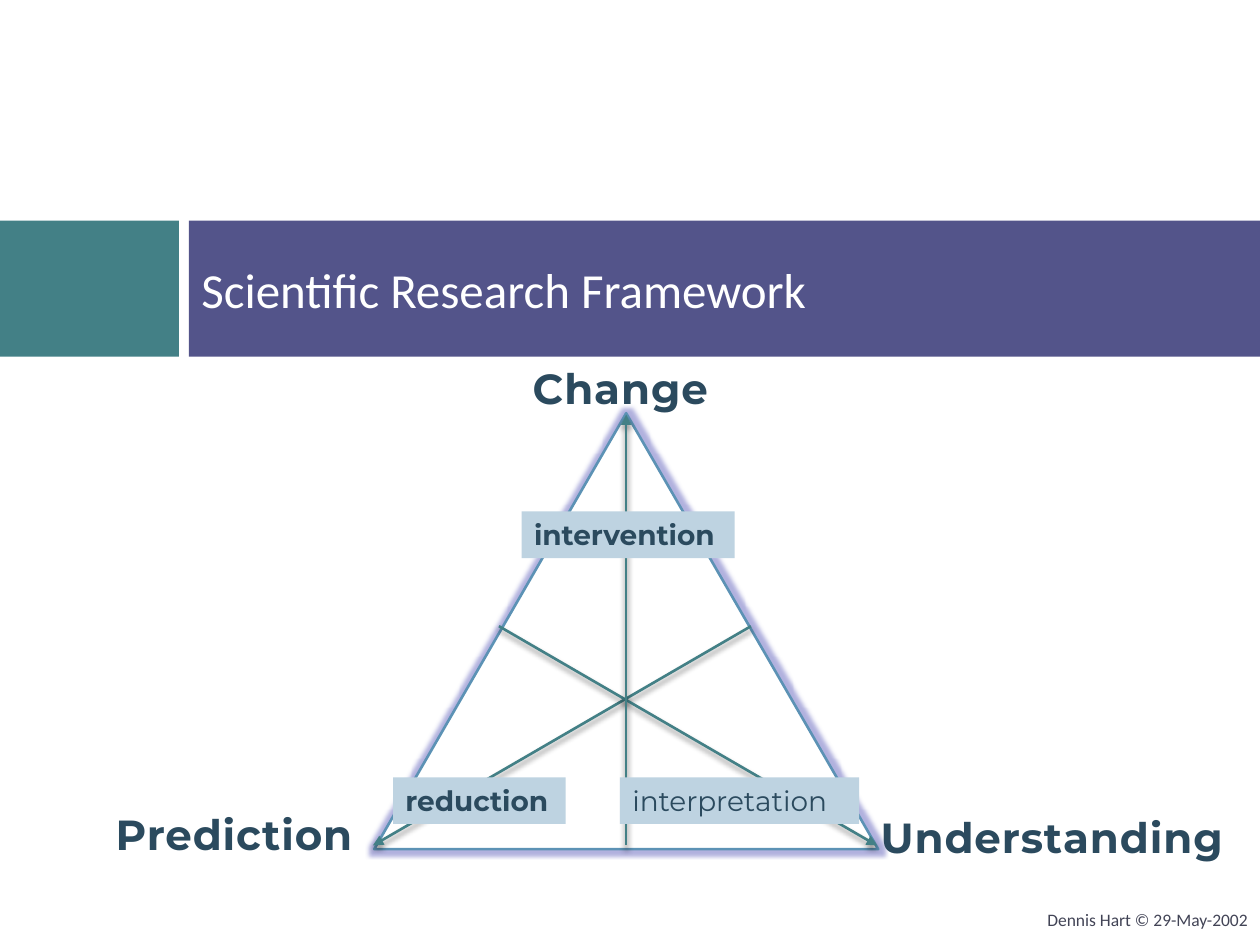
from dataclasses import dataclass

from lxml.etree import SubElement
from pptx import Presentation
from pptx.dml.color import RGBColor
from pptx.enum.shapes import MSO_CONNECTOR, MSO_SHAPE
from pptx.enum.text import MSO_ANCHOR, MSO_AUTO_SIZE, PP_ALIGN
from pptx.oxml.ns import qn
from pptx.util import Inches, Pt

COLORS = {
    "teal": "438086",
    "violet": "53548A",
    "white": "FFFFFF",
    "edge": "5C92B5",
    "glow": "7D7DC8",
    "navy": "2B4A5E",
    "tag": "BED3E1",
    "footer": "424456",
    "shadow": "000000",
}
COLUMNS, ROWS = 100, 75
SLIDE_WIDTH, SLIDE_HEIGHT = Inches(10), Inches(7.5)


@dataclass(frozen=True)
class Area:
    """A rectangle in grid columns and rows."""
    left: float
    top: float
    width: float
    height: float

    def lengths(self) -> tuple:
        return (across(self.left), down(self.top),
                across(self.width), down(self.height))


@dataclass(frozen=True)
class Label:
    text: str
    area: Area
    size: float
    font: str = "Montserrat"
    color: str = "navy"
    bold: bool = False
    fill: str = ""
    spacing: float = 0
    align: PP_ALIGN = PP_ALIGN.LEFT
    anchor: MSO_ANCHOR = MSO_ANCHOR.TOP
    grows: bool = True


@dataclass(frozen=True)
class Median:
    """An arrow from the middle of a side to the opposite corner."""
    corner: tuple[float, float]
    foot: tuple[float, float]


def across(columns: float) -> int:
    return round(SLIDE_WIDTH * columns / COLUMNS)


def down(rows: float) -> int:
    return round(SLIDE_HEIGHT * rows / ROWS)


def rgb(name: str) -> RGBColor:
    return RGBColor.from_string(COLORS[name])


def add_effect(shape, kind: str, color: str, alpha: int, **settings: int) -> None:
    effects = SubElement(shape._element.spPr, qn("a:effectLst"))
    effect = SubElement(effects, qn(f"a:{kind}"),
                        {key: str(value) for key, value in settings.items()})
    tint = SubElement(effect, qn("a:srgbClr"), val=COLORS[color])
    SubElement(tint, qn("a:alpha"), val=str(alpha * 1000))


def add_band(page, area: Area, color: str) -> None:
    band = page.shapes.add_shape(MSO_SHAPE.RECTANGLE, *area.lengths())
    band.shadow.inherit = False
    band.fill.solid()
    band.fill.fore_color.rgb = rgb(color)
    band.line.fill.background()


def add_triangle(page, area: Area) -> None:
    triangle = page.shapes.add_shape(MSO_SHAPE.ISOSCELES_TRIANGLE, *area.lengths())
    triangle.fill.solid()
    triangle.fill.fore_color.rgb = rgb("white")
    triangle.line.color.rgb = rgb("edge")
    triangle.line.width = Pt(1.5)
    add_effect(triangle, "glow", "glow", 60, rad=Pt(5))


def add_median(page, median: Median) -> None:
    (start_x, start_y), (end_x, end_y) = median.corner, median.foot
    arrow = page.shapes.add_connector(
        MSO_CONNECTOR.STRAIGHT, across(start_x), down(start_y), across(end_x), down(end_y))
    arrow.line.color.rgb = rgb("teal")
    arrow.line.width = Pt(1.5)
    SubElement(arrow.line._get_or_add_ln(), qn("a:headEnd"), type="triangle")
    add_effect(arrow, "outerShdw", "shadow", 45,
               blurRad=Pt(3), dist=Pt(2.4), dir=90 * 60000)


def add_label(page, label: Label) -> None:
    box = page.shapes.add_textbox(*label.area.lengths())
    if label.fill:
        box.fill.solid()
        box.fill.fore_color.rgb = rgb(label.fill)
    frame = box.text_frame
    frame.word_wrap = not label.grows
    frame.auto_size = (MSO_AUTO_SIZE.SHAPE_TO_FIT_TEXT if label.grows
                       else MSO_AUTO_SIZE.NONE)
    frame.vertical_anchor = label.anchor
    para = frame.paragraphs[0]
    para.alignment = label.align
    span = para.add_run()
    span.text = label.text
    para.font.name = label.font
    para.font.size = Pt(label.size)
    para.font.bold = label.bold
    para.font.color.rgb = rgb(label.color)
    if label.spacing:
        span.font._element.set("spc", str(round(label.spacing * 100)))


def goal(text: str, left: float, top: float, width: float) -> Label:
    return Label(text, Area(left, top, width, 5), 24, bold=True, spacing=0.5)


def tag(text: str, left: float, top: float, width: float, bold: bool = True) -> Label:
    return Label(text, Area(left, top, width, 3.7), 16, bold=bold, fill="tag")


BANDS = [(Area(0, 17.5, 14.2, 10.8), "teal"), (Area(15, 17.5, 85, 10.8), "violet")]
HEADINGS = [
    Label("Scientific Research Framework", Area(15, 17.5, 83.3, 10.8), 28, "Calibri",
          "white", anchor=MSO_ANCHOR.MIDDLE, grows=False),
    Label("Dennis Hart © 29-May-2002", Area(40.7, 71, 59.3, 4), 10, "Calibri",
          "footer", align=PP_ALIGN.RIGHT, anchor=MSO_ANCHOR.MIDDLE, grows=False),
]
MEDIANS = [
    Median((29.6, 67.1), (59.6, 49.7)),
    Median((69.6, 67.1), (39.6, 49.7)),
    Median((49.7, 32.9), (49.7, 67.1)),
]
LABELS = [
    goal("Change", 41.3, 28.3, 16.3),
    goal("Prediction", 8.2, 63.7, 21.7),
    goal("Understanding", 68.9, 63.9, 29.9),
    tag("reduction", 31.2, 61.7, 13.7),
    tag("intervention", 41.4, 40.6, 16.9),
    tag("interpretation", 49.2, 61.7, 19, bold=False),
]


def main() -> None:
    deck = Presentation()
    deck.slide_width, deck.slide_height = SLIDE_WIDTH, SLIDE_HEIGHT
    page = deck.slides.add_slide(deck.slide_layouts[6])

    # Title band and footer
    for area, color in BANDS:
        add_band(page, area, color)
    for heading in HEADINGS:
        add_label(page, heading)

    # Triangle with its three medians
    add_triangle(page, Area(29.7, 32.8, 40, 34.6))
    for median in MEDIANS:
        add_median(page, median)

    # Goals at the corners, methods along the arrows
    for label in LABELS:
        add_label(page, label)

    deck.save("out.pptx")


if __name__ == "__main__":
    main()
